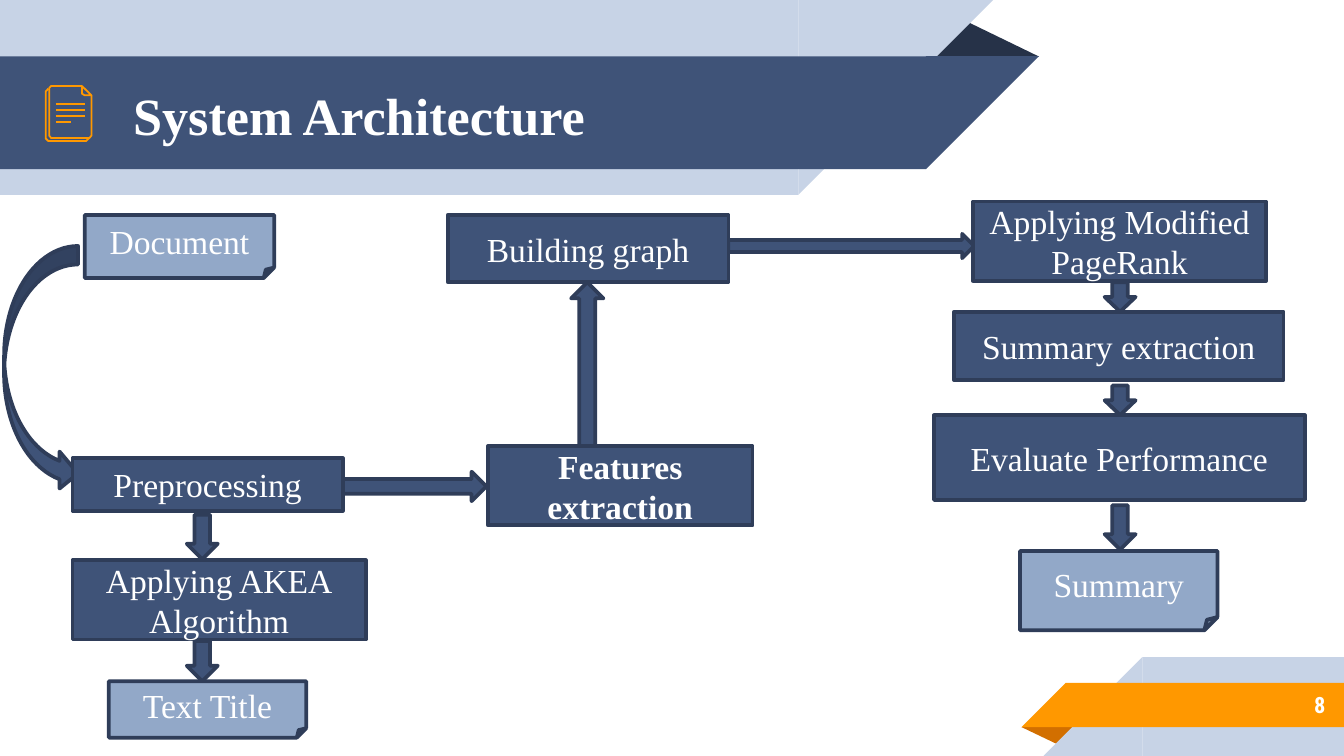
from dataclasses import dataclass

from lxml import etree
from pptx import Presentation
from pptx.dml.color import RGBColor
from pptx.enum.shapes import MSO_CONNECTOR, MSO_SHAPE
from pptx.enum.text import MSO_ANCHOR, MSO_AUTO_SIZE, PP_ALIGN
from pptx.oxml.ns import qn
from pptx.util import Pt

RECT, RIGHT_TRI, TRI = MSO_SHAPE.RECTANGLE, MSO_SHAPE.RIGHT_TRIANGLE, MSO_SHAPE.ISOSCELES_TRIANGLE
FOLD, CURVE = MSO_SHAPE.FOLDED_CORNER, MSO_SHAPE.CURVED_RIGHT_ARROW
RIGHT, UP, DOWN = MSO_SHAPE.RIGHT_ARROW, MSO_SHAPE.UP_ARROW, MSO_SHAPE.DOWN_ARROW
STRAIGHT = MSO_CONNECTOR.STRAIGHT
MIDDLE, NO_FIT = MSO_ANCHOR.MIDDLE, MSO_AUTO_SIZE.NONE
LEFT, CENTER, END = PP_ALIGN.LEFT, PP_ALIGN.CENTER, PP_ALIGN.RIGHT


@dataclass(frozen=True)
class Theme:
    pale: str = "C7D3E6"
    navy: str = "3F5378"
    dark: str = "263248"
    edge: str = "2F3D59"
    paper: str = "92A8C8"
    orange: str = "FF9800"
    rust: str = "D26F00"
    white: str = "FFFFFF"
    serif: str = "Times New Roman"
    sans: str = "Roboto Condensed"
    title: int = 28
    body: int = 18
    small: int = 12


THEME = Theme()

STEPS = [
    ("Document", FOLD, 45.4, 115.2, 101.5, 33.8),
    ("Preprocessing", RECT, 38.9, 245.5, 144.7, 28.1),
    ("Features extraction", RECT, 261.4, 239, 141.8, 42.5),
    ("Building graph", RECT, 239.8, 115.2, 150.5, 36),
    ("Applying Modified PageRank", RECT, 521.3, 108, 157, 42.5),
    ("Summary extraction", RECT, 511.2, 167, 176.4, 36.7),
    ("Evaluate Performance", RECT, 500.4, 222.5, 198.7, 45.4),
    ("Summary", FOLD, 546.5, 295.2, 105.8, 42.5),
    ("Applying AKEA\nAlgorithm", RECT, 38.9, 300.2, 157, 42.5),
    ("Text Title", FOLD, 58.3, 365, 105.8, 30.2),
]
CURRENT = "Features extraction"

ARROWS = [
    (CURVE, 2.2, 131.8, 39.6, 131.8),
    (RIGHT, 183.6, 252.7, 77, 15.8),
    (UP, 306, 151.2, 17.3, 87.8),
    (RIGHT, 390.2, 125.3, 131.8, 13),
]
# Left edge of each column of down arrows: (top, height) of each arrow
DROPS = {
    591.8: [(151.2, 15.8), (206.6, 15.8), (270.7, 23.8)],
    100.1: [(275.8, 23.8), (343.4, 21.6)],
}

BACK = [(47.5, 74.2), (46.1, 75.6), (25.9, 75.6), (24.5, 74.2), (24.5, 49), (25.9, 47.5)]
FRONT = [(49, 51.1), (49, 72.7), (47.9, 74), (27.4, 74), (26.4, 72.7),
         (26.4, 47.2), (27.4, 46.1), (43.9, 46.1)]
EAR = [(43.9, 46.1), (49, 51.1), (45.4, 51.1), (43.9, 50.2)]


def color(code):
    return RGBColor.from_string(code)


def paint(shape, fill, line=None):
    shape.shadow.inherit = False
    if fill:
        shape.fill.solid()
        shape.fill.fore_color.rgb = color(fill)
    else:
        shape.fill.background()
    if line:
        shape.line.color.rgb = color(line[0])
        shape.line.width = Pt(line[1])
    else:
        shape.line.fill.background()


def add_form(slide, kind, area, fill, line=None):
    shape = slide.shapes.add_shape(kind, *map(Pt, area))
    paint(shape, fill, line)
    return shape


def write(shape, text, align, size, inset=None, name=THEME.serif, bold=False):
    frame = shape.text_frame
    frame.text = text
    look = {"word_wrap": True, "auto_size": NO_FIT, "vertical_anchor": MIDDLE}
    if inset:
        sides = ("left", "top", "right", "bottom")
        look.update({f"margin_{side}": Pt(inset) for side in sides})
    for key, value in look.items():
        setattr(frame, key, value)
    style = {"name": name, "size": Pt(size), "bold": bold}
    for para in frame.paragraphs:
        para.alignment = align
        for run in para.runs:
            for key, value in style.items():
                setattr(run.font, key, value)
            run.font.color.rgb = color(THEME.white)


def add_band(slide, rect, slant, fill, flip):
    """Draw a bar and the right triangle that gives it a slanted end."""
    add_form(slide, RECT, rect, fill)
    end = add_form(slide, RIGHT_TRI, slant, fill)
    end.element.spPr.xfrm.set(flip, "1")


def add_frame(slide):
    tip = add_form(slide, TRI, (547.2, 389.5, 31, 10.1), THEME.rust)
    tip.rotation = 180
    add_band(slide, (612, 352.1, 108, 52.9), (559.1, 352.1, 52.9, 52.9), THEME.pale, "flipH")
    add_band(slide, (571, 365.8, 149, 23.8), (547.2, 365.8, 23.8, 23.8), THEME.orange, "flipH")
    top = add_form(slide, TRI, (495.4, 10.1, 61.2, 20.2), THEME.dark)
    for peak in (tip, top):
        peak.adjustments[0] = 0.32
    add_band(slide, (0, 0, 427.7, 104.4), (427.7, 0, 104.4, 104.4), THEME.pale, "flipV")
    add_band(slide, (0, 30.2, 496.1, 60.5), (496.1, 30.2, 60.5, 60.5), THEME.navy, "flipV")


def add_title(slide, text):
    title = slide.shapes.title
    place = {"left": 64.1, "top": 31, "width": 432.7, "height": 60.5}
    for key, value in place.items():
        setattr(title, key, Pt(value))
    write(title, text, LEFT, THEME.title, 7.2, bold=True)
    # Bring the title in front of the banner
    title.element.getparent().append(title.element)


def add_page(slide, text):
    box = slide.shapes.add_textbox(*map(Pt, (599.8, 365, 117.4, 25.2)))
    write(box, text, END, THEME.small, 7.2, THEME.sans, True)


def add_path(slide, points, close, line):
    start, *rest = [tuple(map(Pt, point)) for point in points]
    path = slide.shapes.build_freeform(*start)
    path.add_line_segments(rest, close=close)
    paint(path.convert_to_shape(), None, line)


def add_icon(slide):
    line = (THEME.orange, 0.96)
    for points, close in ((BACK, False), (FRONT, False), (EAR, True)):
        add_path(slide, points, close, line)
    for row, end in enumerate((45.4, 45.4, 45.4, 38.2)):
        y = 55.9 + 3.2 * row
        rule = slide.shapes.add_connector(STRAIGHT, *map(Pt, (30, y, end, y)))
        rule.line.color.rgb = color(line[0])
        rule.line.width = Pt(line[1])
        etree.SubElement(rule.element.spPr, qn("a:effectLst"))


def add_flow(slide):
    edge = (THEME.edge, 2)
    drops = [(DOWN, x, y, 16.6, high) for x, rows in DROPS.items() for y, high in rows]
    for kind, *area in ARROWS + drops:
        add_form(slide, kind, area, THEME.navy, edge)
    for text, kind, *area in STEPS:
        fill = THEME.paper if kind == FOLD else THEME.navy
        step = add_form(slide, kind, area, fill, edge)
        write(step, text, CENTER, THEME.body, bold=text == CURRENT)


def main():
    deck = Presentation()
    deck.slide_width, deck.slide_height = Pt(720), Pt(405)
    slide = deck.slides.add_slide(deck.slide_layouts[5])
    add_frame(slide)
    add_title(slide, "System Architecture")
    add_page(slide, "8")
    add_icon(slide)
    add_flow(slide)
    deck.save("out.pptx")


if __name__ == "__main__":
    main()
